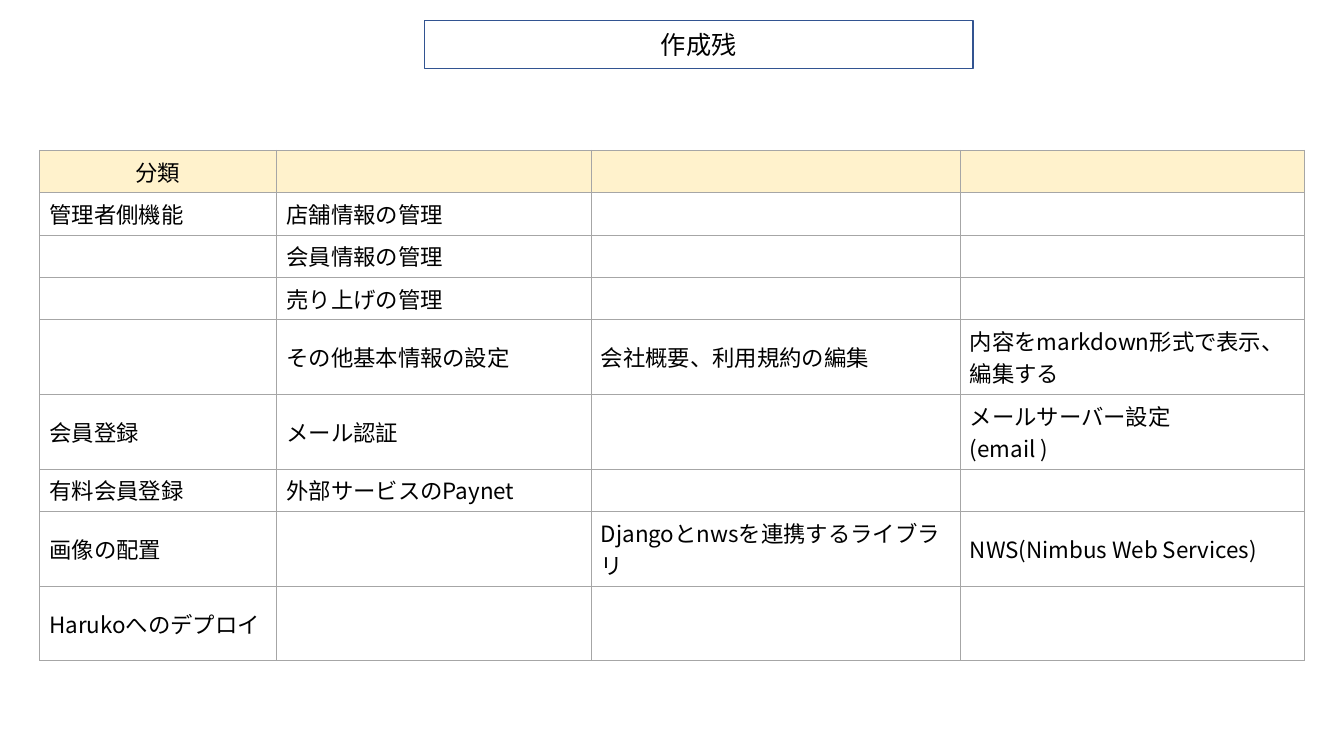
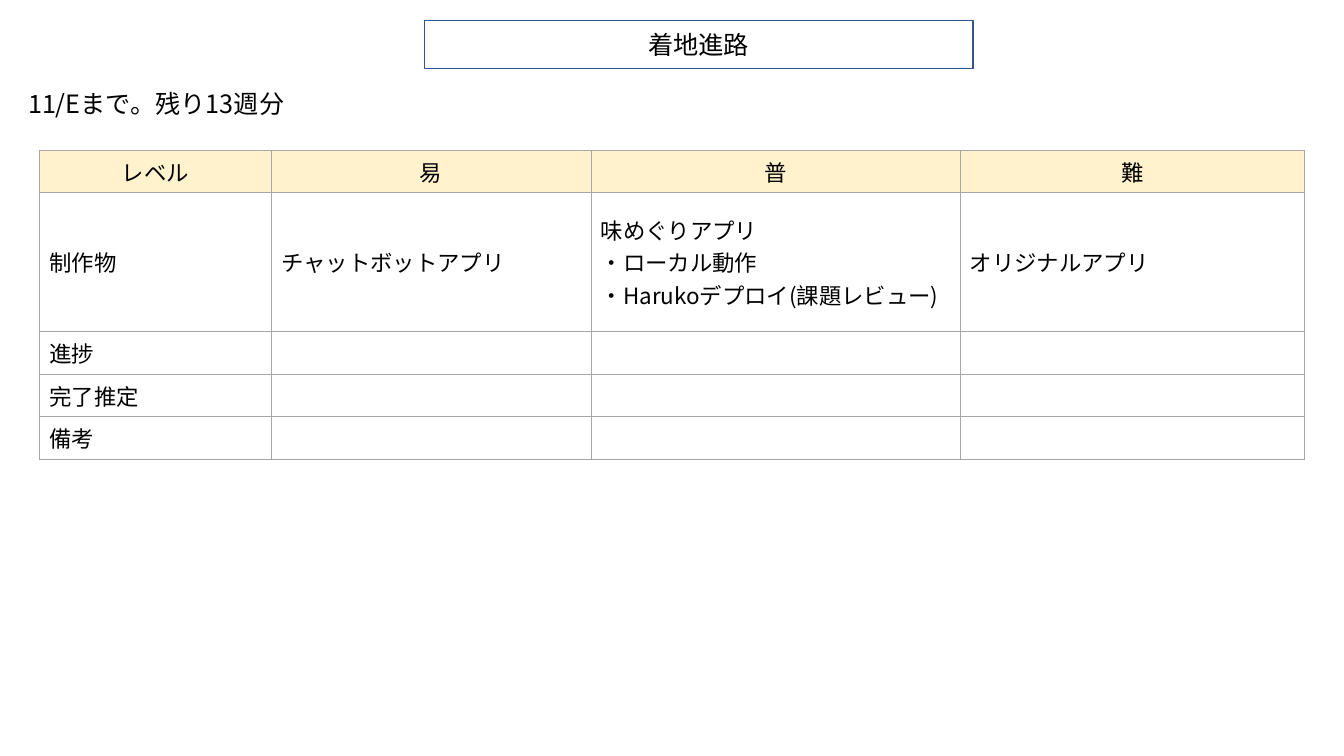
from lxml.etree import SubElement
from pptx import Presentation
from pptx.dml.color import RGBColor
from pptx.enum.text import MSO_ANCHOR, MSO_AUTO_SIZE, PP_ALIGN
from pptx.oxml.ns import qn
from pptx.util import Inches, Pt

FONT = "Noto Sans CJK JP"
BLACK, BLUE, GRAY, CREAM = "000000", "325491", "A6A6A6", "FFF2CC"
TITLE_SIZE, TABLE_SIZE = 18, 16
WIDTH, HEIGHT = Inches(13.33), Inches(7.5)
ROW_SHARE = 5.47

TITLE_BOX = (31.58, 2.67, 40.81, 6.4)
CAPTION_BOX = (1.35, 11.07, 23.26, 5.33)
TABLE_BOX = (2.93, 19.87, 94.15)

REMAINING_WORK = [
    ["分類", "", "", ""],
    ["管理者側機能", "店舗情報の管理", "", ""],
    ["", "会員情報の管理", "", ""],
    ["", "売り上げの管理", "", ""],
    ["", "その他基本情報の設定", "会社概要、利用規約の編集", "内容をmarkdown形式で表示、編集する"],
    ["会員登録", "メール認証", "", "メールサーバー設定\n(email )"],
    ["有料会員登録", "外部サービスのPaynet", "", ""],
    ["画像の配置", "", "Djangoとnwsを連携するライブラリ", "NWS(Nimbus Web Services)"],
    ["Harukoへのデプロイ", "", "", ""],
]
LANDING_COURSE = [
    ["レベル", "易", "普", "難"],
    ["制作物", "チャットボットアプリ",
     "味めぐりアプリ\n・ローカル動作\n・Harukoデプロイ(課題レビュー)", "オリジナルアプリ"],
    ["進捗", "", "", ""],
    ["完了推定", "", "", ""],
    ["備考", "", "", ""],
]


def color(value):
    """Turn a hex string into a colour."""
    return RGBColor.from_string(value)


def place(box):
    """Turn percentages of the slide's size into left, top, width and height."""
    return [round(share * side / 100) for share, side in zip(box, (WIDTH, HEIGHT) * 2)]


def style_text(frame, size, align=PP_ALIGN.LEFT):
    """Give all paragraphs of a frame the deck's font."""
    for para in frame.paragraphs:
        para.alignment = align
        for span in para.runs:
            span.font.size = Pt(size)
            span.font.bold = False
            span.font.name = FONT
            span.font.color.rgb = color(BLACK)
            SubElement(span.font._element, qn("a:ea"), typeface=FONT)
        if not para.runs:
            ending = SubElement(para._p, qn("a:endParaRPr"), sz=str(size * 100))
            for script in ("a:latin", "a:ea"):
                SubElement(ending, qn(script), typeface=FONT)


def add_title(page, text, box):
    """Put the title in a rounded outline."""
    title = page.shapes.title
    title.left, title.top, title.width, title.height = place(box)
    outline = SubElement(title.element.spPr, qn("a:prstGeom"), prst="roundRect")
    SubElement(outline, qn("a:avLst"))
    title.fill.background()
    title.line.color.rgb = color(BLUE)
    title.line.width = Pt(1)
    frame = title.text_frame
    frame.text = text
    frame.auto_size = MSO_AUTO_SIZE.NONE
    frame.vertical_anchor = MSO_ANCHOR.MIDDLE
    style_text(frame, TITLE_SIZE, PP_ALIGN.CENTER)


def add_caption(page, text, box):
    """Write a line of text above the table."""
    frame = page.shapes.add_textbox(*place(box)).text_frame
    frame.word_wrap = True
    frame.auto_size = MSO_AUTO_SIZE.SHAPE_TO_FIT_TEXT
    frame.text = text
    style_text(frame, TITLE_SIZE)


def add_borders(cell):
    """Draw thin gray lines on the four sides of a cell."""
    properties = cell._tc.get_or_add_tcPr()
    for side in ("a:lnL", "a:lnR", "a:lnT", "a:lnB"):
        line = SubElement(properties, qn(side), w=str(Pt(0.5)))
        fill = SubElement(line, qn("a:solidFill"))
        SubElement(fill, qn("a:srgbClr"), val=GRAY)


def add_grid(page, rows, weights, box):
    """Build a bordered table with a cream header row."""
    area = place((*box, ROW_SHARE * len(rows)))
    table = page.shapes.add_table(len(rows), len(weights), *area).table
    table.first_row = table.horz_banding = False
    for column, weight in zip(table.columns, weights):
        column.width = round(area[2] * weight / sum(weights))
    for row_index, row in enumerate(rows):
        for column_index, text in enumerate(row):
            cell = table.cell(row_index, column_index)
            cell.text_frame.text = text
            cell.vertical_anchor = MSO_ANCHOR.MIDDLE
            add_borders(cell)
            if row_index == 0:
                cell.fill.solid()
                cell.fill.fore_color.rgb = color(CREAM)
                style_text(cell.text_frame, TABLE_SIZE, PP_ALIGN.CENTER)
            else:
                cell.fill.background()
                style_text(cell.text_frame, TABLE_SIZE)


def add_page(deck, title, rows, weights, caption=None):
    """Add a slide with a title, a table and perhaps a caption."""
    page = deck.slides.add_slide(deck.slide_layouts.get_by_name("Title Only"))
    add_title(page, title, TITLE_BOX)
    add_grid(page, rows, weights, TABLE_BOX)
    if caption:
        add_caption(page, caption, CAPTION_BOX)


def main():
    """Build and save the deck."""
    deck = Presentation()
    deck.slide_width, deck.slide_height = WIDTH, HEIGHT
    add_page(deck, "作成残", REMAINING_WORK, (2.35, 3.12, 3.66, 3.42))
    add_page(deck, "着地進路", LANDING_COURSE, (2.3, 3.17, 3.66, 3.42),
             "11/Eまで。残り13週分")
    deck.save("out.pptx")


if __name__ == "__main__":
    main()
